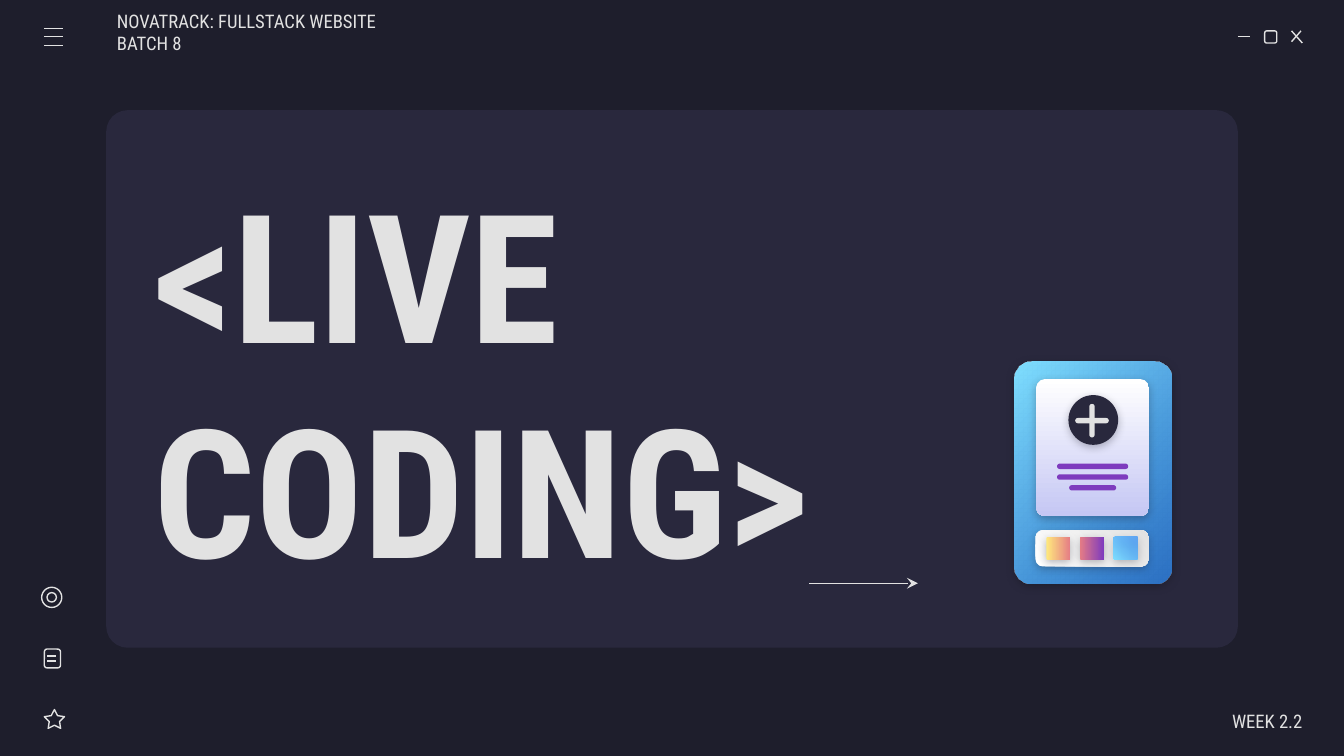
import dataclasses
import typing

import lxml.etree
import pptx
import pptx.dml.color
import pptx.enum.shapes
import pptx.enum.text
import pptx.oxml.ns
import pptx.oxml.xmlchemy
import pptx.util

Inches = pptx.util.Inches
Pt = pptx.util.Pt
qn = pptx.oxml.ns.qn
Kind = pptx.enum.shapes.MSO_SHAPE
Align = pptx.enum.text.PP_ALIGN


@dataclasses.dataclass(frozen=True)
class Theme:
    backdrop: str = "1E1E2C"
    panel: str = "29283D"
    light: str = "E2E2E2"
    white: str = "FFFFFF"
    lavender: str = "C5C7F4"
    purple: str = "7E3BBE"
    sky: str = "80DFFF"
    blue: str = "318FFA"
    yellow: str = "FFEA7D"
    coral: str = "E57C85"
    font: str = "Roboto Condensed"
    title_size: float = 96
    label_size: float = 10
    stroke: float = 0.75


THEME = Theme()


class Box(typing.NamedTuple):
    left: float
    top: float
    width: float
    height: float


class Gradient(typing.NamedTuple):
    start: str
    end: str
    clockwise: float
    end_opacity: int = 100


@dataclasses.dataclass(frozen=True)
class Part:
    box: Box
    kind: Kind = Kind.ROUNDED_RECTANGLE
    fill: typing.Union[str, Gradient, None] = None
    corner: typing.Optional[float] = None
    rotation: float = 0
    shadow_opacity: int = 0


def rgb(value: str) -> pptx.dml.color.RGBColor:
    return pptx.dml.color.RGBColor.from_string(value)


def add_opacity(color: pptx.oxml.xmlchemy.BaseOxmlElement, percent: int) -> None:
    lxml.etree.SubElement(color, qn("a:alpha"), val=str(percent * 1000))


def paint_gradient(shape, gradient: Gradient) -> None:
    shape.fill.gradient()
    shape.fill.gradient_angle = (360 - gradient.clockwise) % 360
    stops = shape.fill.gradient_stops
    for stop, color, position in zip(stops, gradient[:2], (0, 1)):
        stop.color.rgb = rgb(color)
        stop.position = position
    if gradient.end_opacity < 100:
        colors = list(shape.element.spPr.iter(qn("a:srgbClr")))
        add_opacity(colors[-1], gradient.end_opacity)


def draw_part(slide, part: Part) -> None:
    """Draw a filled part, or an outlined icon when it has no fill."""
    shape = slide.shapes.add_shape(part.kind, *map(Inches, part.box))
    shape.rotation = part.rotation
    shape.shadow.inherit = False
    if part.corner is not None:
        shape.adjustments[0] = part.corner
    if part.fill is None:
        shape.fill.background()
        shape.line.color.rgb = rgb(THEME.light)
        shape.line.width = Pt(THEME.stroke)
    else:
        shape.line.fill.background()
        if isinstance(part.fill, Gradient):
            paint_gradient(shape, part.fill)
        else:
            shape.fill.solid()
            shape.fill.fore_color.rgb = rgb(part.fill)
    if part.shadow_opacity:
        shadow = lxml.etree.SubElement(
            shape.element.spPr.find(qn("a:effectLst")), qn("a:outerShdw"),
            blurRad=str(Pt(4.5)), dist=str(Pt(1.5)), dir="5400000",
            algn="bl", rotWithShape="0")
        color = lxml.etree.SubElement(shadow, qn("a:srgbClr"), val=THEME.backdrop)
        add_opacity(color, part.shadow_opacity)


def draw_line(slide, x1: float, y1: float, x2: float, y2: float, arrow: bool = False) -> None:
    line = slide.shapes.add_connector(
        pptx.enum.shapes.MSO_CONNECTOR.STRAIGHT, *map(Inches, (x1, y1, x2, y2)))
    line.line.color.rgb = rgb(THEME.light)
    line.line.width = Pt(THEME.stroke)
    properties = line.element.spPr
    if arrow:
        lxml.etree.SubElement(properties.find(qn("a:ln")), qn("a:tailEnd"), type="stealth")
    lxml.etree.SubElement(properties, qn("a:effectLst"))


def write_text(holder, box: Box, text: str, size: float, align: Align,
               insets: tuple[float, float] = (0.1, 0.1), bold: bool = False,
               spacing: float = 1.0) -> None:
    holder.left, holder.top, holder.width, holder.height = map(Inches, box)
    frame = holder.text_frame
    frame.word_wrap = True
    frame.auto_size = pptx.enum.text.MSO_AUTO_SIZE.NONE
    frame.vertical_anchor = pptx.enum.text.MSO_ANCHOR.MIDDLE
    frame.margin_left, frame.margin_right = map(Inches, insets)
    frame.margin_top = frame.margin_bottom = Inches(0.1)
    paragraph = frame.paragraphs[0]
    paragraph.alignment = align
    paragraph.line_spacing = spacing
    paragraph.space_before = Pt(0)
    run = paragraph.add_run()
    run.text = text
    run.font.name = THEME.font
    run.font.size = Pt(size)
    run.font.bold = bold
    run.font.color.rgb = rgb(THEME.light)


def draw_window_icons(slide) -> None:
    # Minimise, maximise, close
    draw_line(slide, 9.21, 0.27, 9.3, 0.27)
    draw_part(slide, Part(Box(9.41, 0.23, 0.09, 0.09)))
    draw_line(slide, 9.61, 0.23, 9.69, 0.32)
    draw_line(slide, 9.68, 0.23, 9.61, 0.31)
    # Menu
    for y in (0.21, 0.27, 0.34):
        draw_line(slide, 0.33, y, 0.47, y)


def draw_side_icons(slide) -> None:
    draw_part(slide, Part(Box(0.33, 5.28, 0.15, 0.14), Kind.STAR_5_POINT, corner=0.254))
    draw_part(slide, Part(Box(0.33, 4.83, 0.12, 0.14)))
    for y in (4.88, 4.92):
        draw_line(slide, 0.35, y, 0.42, y)
    for inset in (0, 0.04):
        side = 0.15 - 2 * inset
        draw_part(slide, Part(Box(0.31 + inset, 4.37 + inset, side, side), Kind.OVAL))


def draw_card(slide) -> None:
    sky_to_blue = Gradient(THEME.sky, THEME.blue, 45, 72)
    draw_part(slide, Part(Box(7.55, 2.69, 1.17, 1.65), fill=sky_to_blue,
                          corner=0.108, shadow_opacity=100))
    # Page with text bars
    draw_part(slide, Part(Box(7.71, 2.82, 0.84, 1.02), corner=0.08, shadow_opacity=30,
                          fill=Gradient(THEME.white, THEME.lavender, 90)))
    for row, width in enumerate((0.53, 0.53, 0.35)):
        bar = Box(8.13 - width / 2, 3.45 + 0.08 * row, width, 0.04)
        draw_part(slide, Part(bar, fill=THEME.purple, corner=0.5))
    # Plus badge
    draw_part(slide, Part(Box(7.95, 2.94, 0.37, 0.37), Kind.OVAL,
                          fill=THEME.panel, shadow_opacity=30))
    for rotation in (0, 90):
        draw_part(slide, Part(Box(8, 3.11, 0.25, 0.04), fill=THEME.light,
                              corner=0.5, rotation=rotation))
    # Swatch tray
    draw_part(slide, Part(Box(7.99, 3.66, 0.27, 0.84), corner=0.198, rotation=270,
                          fill=Gradient(THEME.white, THEME.light, 45), shadow_opacity=30))
    swatches = (Gradient(THEME.yellow, THEME.coral, 90),
                Gradient(THEME.coral, THEME.purple, 90), sky_to_blue)
    for column, swatch in enumerate(swatches):
        draw_part(slide, Part(Box(7.79 + 0.25 * column, 3.99, 0.17, 0.18), fill=swatch,
                              corner=0.07, rotation=270, shadow_opacity=30))


def main() -> None:
    deck = pptx.Presentation()
    # Widescreen, 16:9
    deck.slide_width, deck.slide_height = Inches(10), Inches(10 * 9 / 16)
    slide = deck.slides.add_slide(deck.slide_layouts[0])
    slide.background.fill.solid()
    slide.background.fill.fore_color.rgb = rgb(THEME.backdrop)

    draw_part(slide, Part(Box(0.79, 0.82, 8.42, 4), fill=THEME.panel, corner=0.04))
    draw_window_icons(slide)
    draw_side_icons(slide)
    draw_card(slide)
    draw_line(slide, 6.02, 4.34, 6.83, 4.34, arrow=True)

    # Texts, with the placeholders brought in front of the panel
    title, week = slide.placeholders
    for holder in (week, title):
        holder.element.getparent().append(holder.element)
    write_text(week, Box(8.52, 5.2, 1.17, 0.3), "WEEK 2.2", THEME.label_size,
               Align.RIGHT, insets=(0.1, 0), spacing=1.15)
    write_text(title, Box(1.04, 1.33, 6.43, 2.98), "<LIVE CODING>", THEME.title_size,
               Align.LEFT, bold=True)
    course_box = Box(0.87, 0.09, 2.29, 0.3)
    course = slide.shapes.add_textbox(*map(Inches, course_box))
    write_text(course, course_box, "NOVATRACK: FULLSTACK WEBSITE BATCH 8",
               THEME.label_size, Align.LEFT, insets=(0, 0.1))
    deck.save("out.pptx")


if __name__ == "__main__":
    main()
